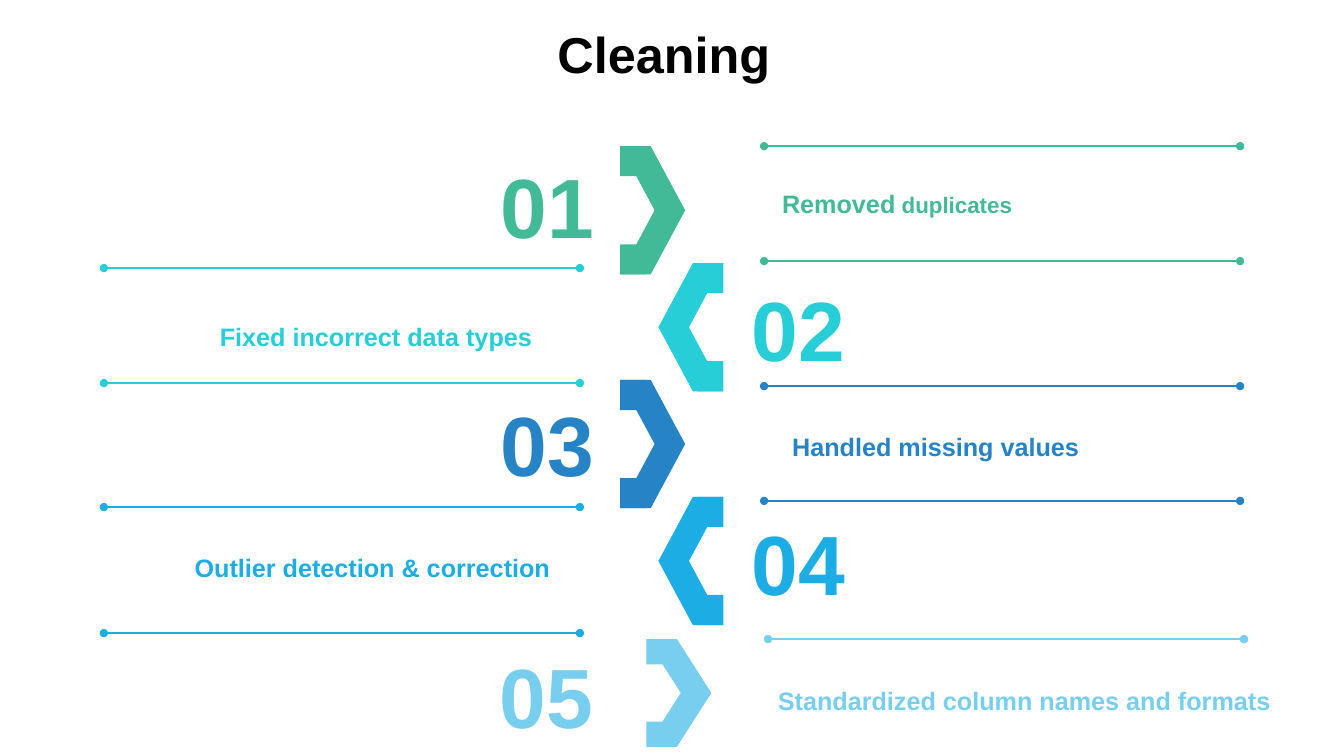
from lxml import etree
from pptx import Presentation
from pptx.dml.color import RGBColor
from pptx.enum import shapes, text
from pptx.oxml import ns
from pptx.util import Pt

FONT = "Arial"
TITLE = "Cleaning"
# Label runs are (wording, size). Rule and label places are in points.
STEPS = [
    dict(number="01", color="42BA97", points="right", clasp=(443, 104.4, 91.6),
         number_at=(350, 106.5), rules=(545.8, 104.4, 186.5),
         label=[("Removed", 18), (" duplicates", 16)], label_at=(551.5, 131, 314)),
    dict(number="02", color="27CED7", points="left", clasp=(470.3, 187.9, 91.6),
         number_at=(529.2, 195), rules=(74.2, 191.5, 273.6),
         label=[("Fixed incorrect data types", 18)], label_at=(74.2, 226.2, 313)),
    dict(number="03", color="2683C6", points="right", clasp=(443, 271.4, 91.6),
         number_at=(350, 276.5), rules=(545.8, 275.8, 357.8),
         label=[("Handled missing values", 18)], label_at=(558.7, 304.7, 314)),
    dict(number="04", color="1CADE4", points="left", clasp=(470.3, 354.9, 91.6),
         number_at=(529.2, 361.5), rules=(74.2, 362.2, 452.2),
         label=[("Outlier detection & correction", 18)], label_at=(87.1, 391, 313)),
    dict(number="05", color="77CEEF", points="right", clasp=(461.7, 456.5, 77),
         number_at=(349.2, 456.5), rules=(548.6, 456.5),
         label=[("Standardized column names and formats", 18)],
         label_at=(548.6, 486, 376.6)),
]
CLASP_WIDTH, JAW_WIDTH, JAW_SHARE = 46.4, 18.7, 0.235
RULE_LENGTH = 340


def rgb(color):
    return RGBColor.from_string(color)


def style(run, size, color):
    run.font.name, run.font.size, run.font.bold = FONT, Pt(size), True
    run.font.color.rgb = rgb(color)


def add_words(slide, place, runs, color, align):
    box = slide.shapes.add_textbox(*map(Pt, place))
    box.text_frame.word_wrap = True
    paragraph = box.text_frame.paragraphs[0]
    paragraph.alignment = align
    for words, size in runs:
        run = paragraph.add_run()
        run.text = words
        style(run, size, color)


def add_clasp(slide, left, top, height, points, color):
    """Chevron with a square jaw at each end of its open side."""
    group = slide.shapes.add_group_shape()
    jaw_height = height * JAW_SHARE
    jaw_left = left if points == "right" else left + CLASP_WIDTH - JAW_WIDTH
    parts = [(shapes.MSO_SHAPE.CHEVRON, left, top, CLASP_WIDTH, height)]
    for jaw_top in (top, top + height - jaw_height):
        parts.append((shapes.MSO_SHAPE.RECTANGLE, jaw_left, jaw_top, JAW_WIDTH, jaw_height))
    for kind, *place in parts:
        part = group.shapes.add_shape(kind, *map(Pt, place))
        part.shadow.inherit = False
        part.fill.solid()
        part.fill.fore_color.rgb = rgb(color)
        part.line.fill.background()
        if kind == shapes.MSO_SHAPE.CHEVRON:
            part.adjustments[0] = 0.53
            part.rotation = 0 if points == "right" else 180


def add_rule(slide, left, y, color):
    rule = slide.shapes.add_connector(
        shapes.MSO_CONNECTOR.STRAIGHT, Pt(left), Pt(y), Pt(left + RULE_LENGTH), Pt(y))
    rule.line.width = Pt(1.5)
    rule.line.color.rgb = rgb(color)
    line = rule.line._get_or_add_ln()
    for end in ("a:headEnd", "a:tailEnd"):
        etree.SubElement(line, ns.qn(end), type="oval")
    etree.SubElement(rule._element.spPr, ns.qn("a:effectLst"))


def main():
    deck = Presentation()
    deck.slide_width, deck.slide_height = Pt(960), Pt(540)
    slide = deck.slides.add_slide(deck.slide_layouts[5])

    title = slide.shapes.title
    title.left, title.top, title.width, title.height = map(Pt, (391, 18, 193, 57))
    title.text_frame.text = TITLE
    title.text_frame.vertical_anchor = text.MSO_ANCHOR.TOP
    heading = title.text_frame.paragraphs[0]
    heading.alignment, heading.line_spacing = text.PP_ALIGN.LEFT, 0.9
    heading.space_before = Pt(0)
    style(heading.runs[0], 36, "000000")

    for step in STEPS:
        color, points = step["color"], step["points"]
        add_clasp(slide, *step["clasp"], points, color)
        add_words(slide, (*step["number_at"], 82.1, 80), [(step["number"], 60)],
                  color, text.PP_ALIGN.CENTER)
        rule_left, *rule_tops = step["rules"]
        for y in rule_tops:
            add_rule(slide, rule_left, y, color)
        label_left, label_top, label_width = step["label_at"]
        add_words(slide, (label_left, label_top, label_width, 29), step["label"], color,
                  text.PP_ALIGN.LEFT if points == "right" else text.PP_ALIGN.RIGHT)

    deck.save("out.pptx")


if __name__ == "__main__":
    main()
